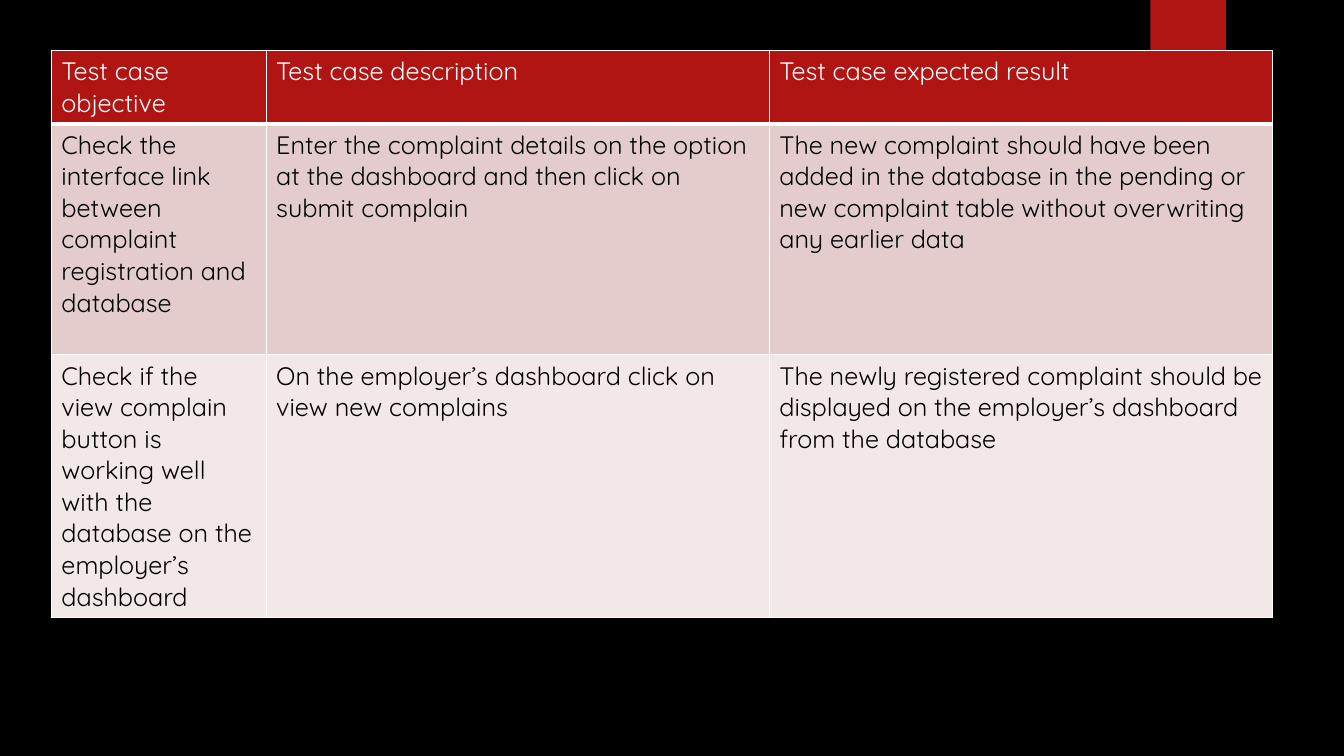
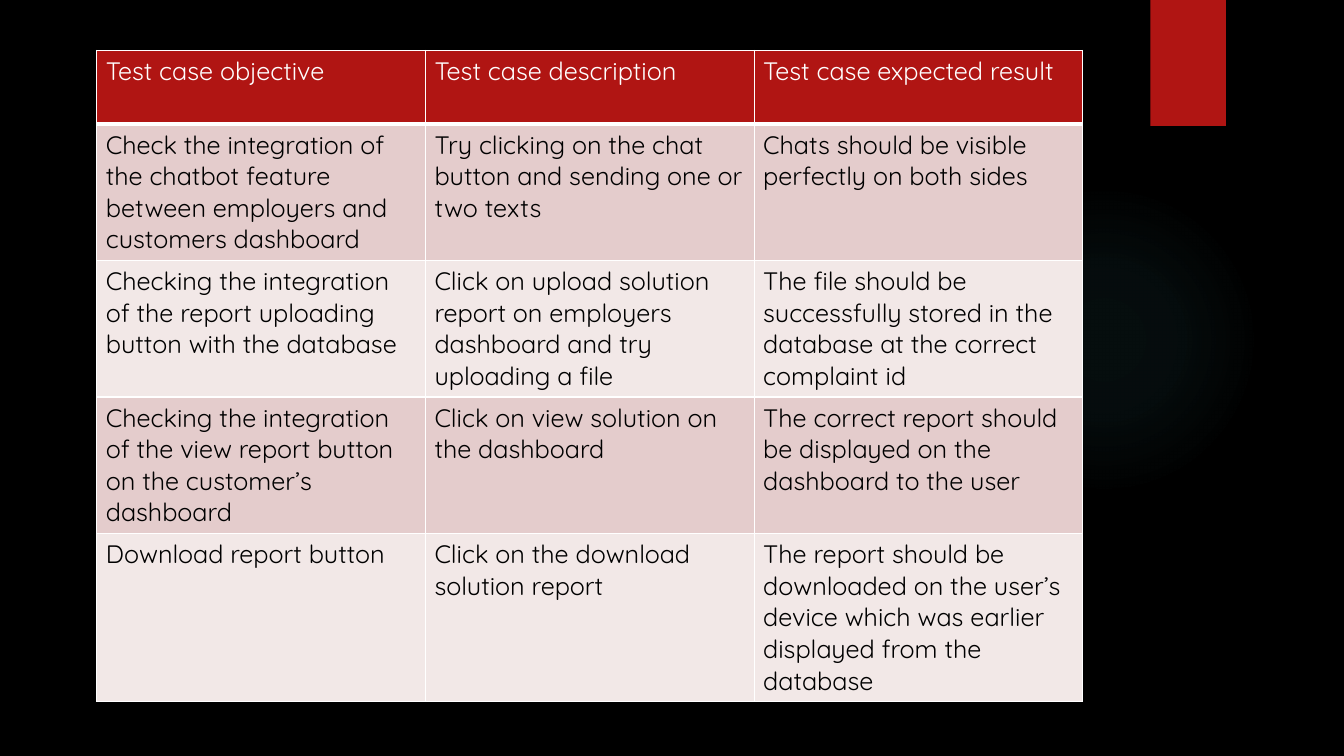
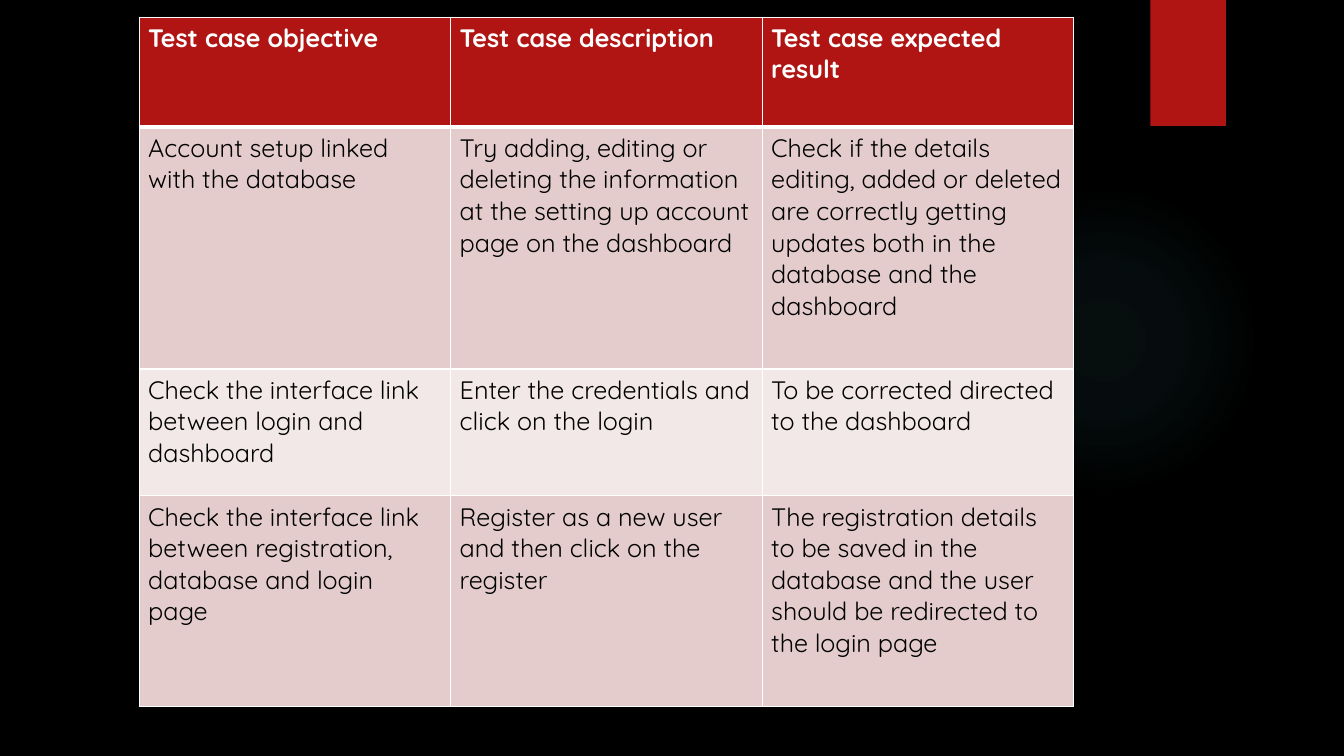
from pptx import Presentation
from pptx.dml.color import RGBColor
from pptx.enum.shapes import MSO_SHAPE
from pptx.oxml import parse_xml
from pptx.oxml.ns import nsdecls
from pptx.util import Inches, Pt

BLACK = RGBColor(0x00, 0x00, 0x00)
WHITE = RGBColor(0xFF, 0xFF, 0xFF)
RED = RGBColor(0xB0, 0x15, 0x13)
PINK = RGBColor(0xE4, 0xCC, 0xCC)
PALE_PINK = RGBColor(0xF2, 0xE8, 0xE7)
TEAL = RGBColor(0x50, 0xB9, 0xC1)

FONT = "Quicksand"
THIN, THICK = 1, 3
GLOW_STOPS = ((0, 7), (36, 6), (69, 0))  # position and opacity, in percent

HEADINGS = ("Test case objective", "Test case description", "Test case expected result")

DATABASE_TESTS = (
    ("Check the interface link between complaint registration and database",
     "Enter the complaint details on the option at the dashboard and then click on submit complain",
     "The new complaint should have been added in the database in the pending or new complaint "
     "table without overwriting any earlier data"),
    ("Check if the view complain button is working well with the database on the employer’s dashboard",
     "On the employer’s dashboard click on view new complains",
     "The newly registered complaint should be displayed on the employer’s dashboard from the database"),
)
REPORT_TESTS = (
    ("Check the integration of the chatbot feature between employers and customers dashboard",
     "Try clicking on the chat button and sending one or two texts",
     "Chats should be visible perfectly on both sides"),
    ("Checking the integration of the report uploading button with the database",
     "Click on upload solution report on employers dashboard and try uploading a file",
     "The file should be successfully stored in the database at the correct complaint id"),
    ("Checking the integration of the view report button on the customer’s dashboard",
     "Click on view solution on the dashboard",
     "The correct report should be displayed on the dashboard to the user"),
    ("Download report button",
     "Click on the download solution report",
     "The report should be downloaded on the user’s device which was earlier displayed from the database"),
)
ACCOUNT_TESTS = (
    ("Account setup linked with the database",
     "Try adding, editing or deleting the information at the setting up account page on the dashboard",
     "Check if the details editing, added or deleted are correctly getting updates both in the "
     "database and the dashboard"),
    ("Check the interface link between login and dashboard",
     "Enter the credentials and click on the login",
     "To be corrected directed to the dashboard"),
    ("Check the interface link between registration, database and login\npage",
     "Register as a new user and then click on the register",
     "The registration details to be saved in the database and the user should be redirected "
     "to the login page"),
)


def write_text(text_frame, text, size=18, color=BLACK, bold=False):
    """Write each line of the text as a paragraph."""
    for index, line in enumerate(text.split("\n")):
        paragraph = text_frame.add_paragraph() if index else text_frame.paragraphs[0]
        run = paragraph.add_run()
        run.text = line
        font = run.font
        font.name, font.size, font.bold = FONT, Pt(size), bold
        font.color.rgb = color


def add_plain_shape(slide, kind, left, top, width, height, color):
    shape = slide.shapes.add_shape(kind, *map(Inches, (left, top, width, height)))
    shape.shadow.inherit = False
    shape.line.fill.background()
    shape.fill.solid()
    shape.fill.fore_color.rgb = color
    return shape


def fade_out(shape, color):
    """Replace the solid fill by a radial fade."""
    stops = "".join(
        f'<a:gs pos="{position * 1000}"><a:srgbClr val="{color}">'
        f'<a:alpha val="{opacity * 1000}"/></a:srgbClr></a:gs>'
        for position, opacity in GLOW_STOPS)
    gradient = parse_xml(
        f'<a:gradFill {nsdecls("a")} rotWithShape="1"><a:gsLst>{stops}</a:gsLst>'
        '<a:path path="circle"><a:fillToRect l="50000" t="50000" r="50000" b="50000"/>'
        '</a:path></a:gradFill>')
    solid = shape.element.spPr.find("{*}solidFill")
    solid.getparent().replace(solid, gradient)


def set_borders(cell, **widths):
    """Draw white borders; widths in points are keyed L, R, T and B."""
    properties = cell._tc.get_or_add_tcPr()
    for side in "LRTB":
        width = Pt(widths.get(side, THIN))
        properties.append(parse_xml(
            f'<a:ln{side} {nsdecls("a")} w="{width}"><a:solidFill>'
            f'<a:srgbClr val="{WHITE}"/></a:solidFill></a:ln{side}>'))


def format_cell(cell, row, text, inset, bold_header):
    is_header = row == 0
    cell.margin_left = cell.margin_right = Inches(inset)
    cell.margin_top = cell.margin_bottom = Inches(0.05)
    set_borders(cell, T=THICK if row == 1 else THIN, B=THICK if is_header else THIN)
    cell.fill.solid()
    cell.fill.fore_color.rgb = RED if is_header else PINK if row % 2 else PALE_PINK
    write_text(cell.text_frame, text, color=WHITE if is_header else BLACK,
               bold=is_header and bold_header)


def add_test_table(slide, tests, left, top, columns, rows, inset=0.09, bold_header=False):
    frame = slide.shapes.add_table(
        len(rows), len(columns), *map(Inches, (left, top, sum(columns), sum(rows))))
    table = frame.table
    table.first_row = table.horz_banding = False
    for column, width in zip(table.columns, columns):
        column.width = Inches(width)
    for row, height in zip(table.rows, rows):
        row.height = Inches(height)
    for row, texts in enumerate((HEADINGS, *tests)):
        for column, text in enumerate(texts):
            format_cell(table.cell(row, column), row, text, inset, bold_header)


def add_decorated_slide(presentation):
    slide = presentation.slides.add_slide(presentation.slide_layouts[6])
    glow = add_plain_shape(slide, MSO_SHAPE.OVAL, 9.41, 1.83, 3.08, 3.08, TEAL)
    fade_out(glow, TEAL)
    add_plain_shape(slide, MSO_SHAPE.RECTANGLE, 11.41, 0, 0.75, 1.25, RED)
    return slide


def main():
    presentation = Presentation()
    presentation.slide_width, presentation.slide_height = Inches(13.33), Inches(7.5)
    background = presentation.slide_master.background.fill
    background.solid()
    background.fore_color.rgb = BLACK

    add_test_table(add_decorated_slide(presentation), DATABASE_TESTS, 0.51, 0.5,
                   columns=(2.13, 4.99, 4.99), rows=(0.73, 2.29, 2.61), inset=0.1)
    add_test_table(add_decorated_slide(presentation), REPORT_TESTS, 0.96, 0.5,
                   columns=(3.26,) * 3, rows=(0.73, 1.35, 1.35, 1.35, 1.67))
    add_test_table(add_decorated_slide(presentation), ACCOUNT_TESTS, 1.38, 0.17,
                   columns=(3.09,) * 3, rows=(1.09, 2.4, 1.26, 2.09), bold_header=True)

    presentation.save("out.pptx")


if __name__ == "__main__":
    main()
